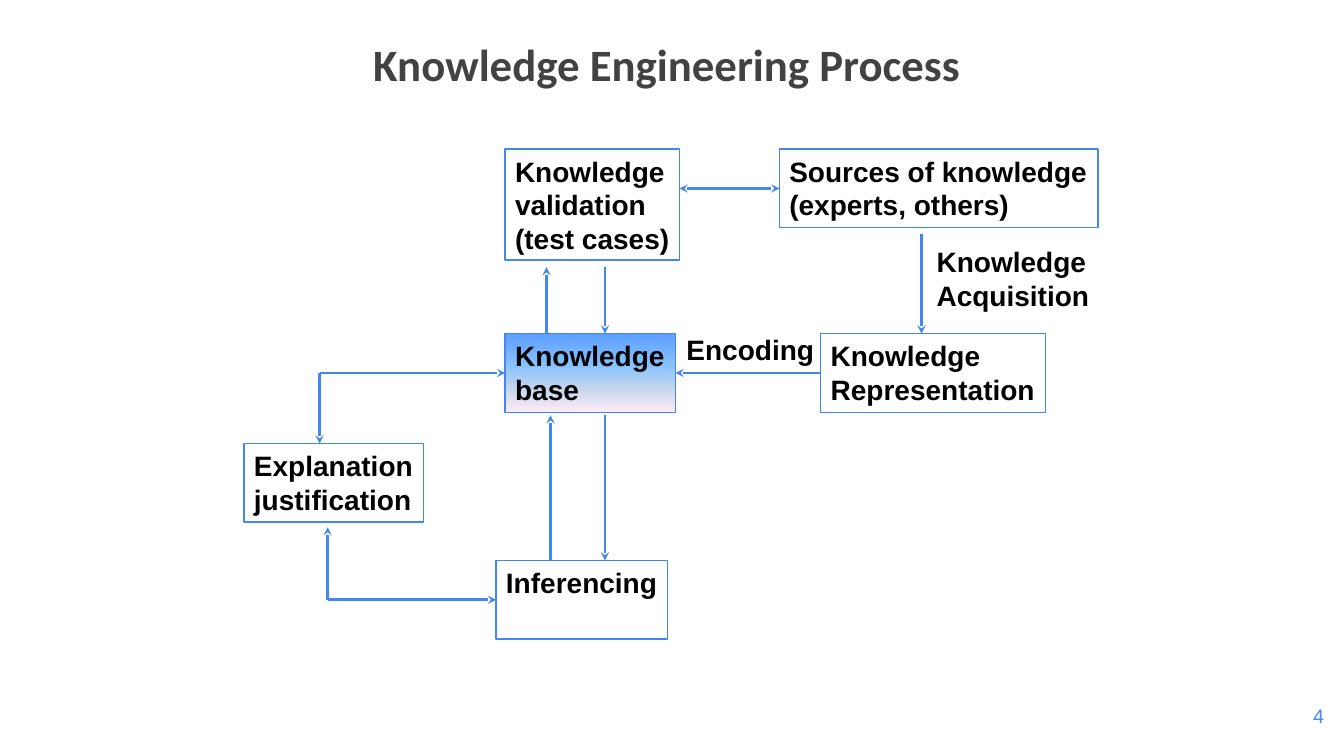
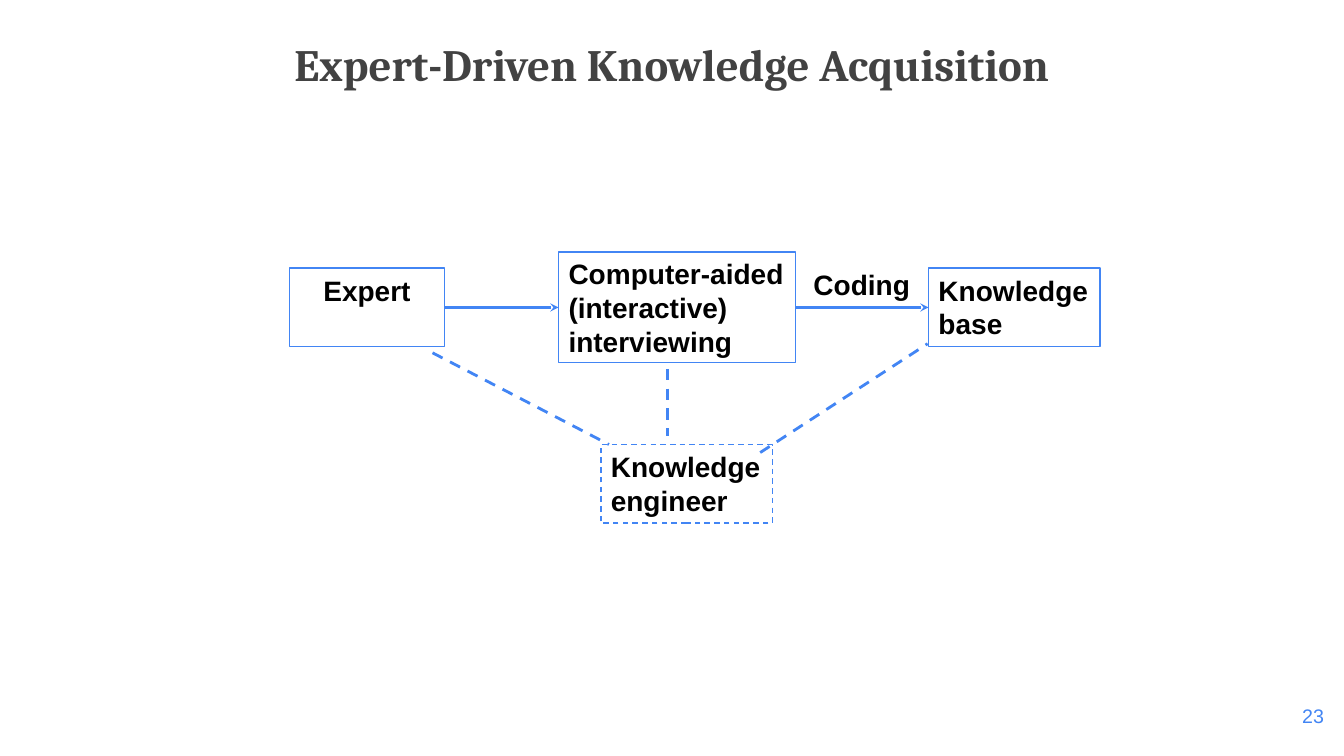
from dataclasses import dataclass
from lxml.etree import SubElement
from pptx import Presentation
from pptx.dml.color import RGBColor
from pptx.enum.dml import MSO_LINE
from pptx.enum.shapes import MSO_CONNECTOR, MSO_SHAPE
from pptx.enum.text import MSO_ANCHOR, PP_ALIGN
from pptx.oxml.ns import qn
from pptx.util import Inches, Pt


@dataclass(frozen=True)
class Theme:
    blue: str = "4285F4"
    title: str = "424242"
    text: str = "000000"
    gradient: tuple = ((0, "5E9EFF"), (40, "85C2FF"), (70, "C4D6EB"), (100, "FFEBFA"))
    font: str = "Arial"
    title_size: int = 32
    body_size: int = 20
    number_size: int = 14
    border: int = 1
    arrow: int = 2


THEME = Theme()
TOP, LEFT, BOTTOM, RIGHT = range(4)
TWO_LINES, THREE_LINES = 0.78, 1.1


def add_text(page, text, at, size=THEME.body_size, font=THEME.font, color=THEME.text,
             bold=True, align=PP_ALIGN.LEFT, anchor=MSO_ANCHOR.TOP, border=True, dash=False):
    """Add a text box, or an outlined rectangle; each line of text is a paragraph."""
    place = [Inches(length) for length in at]
    if border:
        box = page.shapes.add_shape(MSO_SHAPE.RECTANGLE, *place)
        box.shadow.inherit = False
        box.fill.background()
        box.line.color.rgb = RGBColor.from_string(THEME.blue)
        box.line.width = Pt(THEME.border)
        if dash:
            box.line.dash_style = MSO_LINE.DASH
    else:
        box = page.shapes.add_textbox(*place)
    frame = box.text_frame
    frame.word_wrap = True
    frame.vertical_anchor = anchor
    frame.margin_left = Inches(0.1)
    # Boxes fit their longest line closely, so left-aligned text gets spare room.
    frame.margin_right = Inches(0 if align == PP_ALIGN.LEFT else 0.1)
    frame.margin_top = frame.margin_bottom = Inches(0.05)
    for index, line in enumerate(text.split("\n")):
        para = frame.paragraphs[0] if index == 0 else frame.add_paragraph()
        para.alignment = align
        span = para.add_run()
        span.text = line
        span.font.name = font
        span.font.size = Pt(size)
        span.font.bold = bold
        span.font.color.rgb = RGBColor.from_string(color)
    return box


def add_link(page, begin, end, heads=("tailEnd",), dash=False):
    """Draw a line; each end is an (x, y) point or a (box, side) pair to join."""
    points = [(0, 0) if hasattr(x, "text_frame") else (x, y) for x, y in (begin, end)]
    link = page.shapes.add_connector(
        MSO_CONNECTOR.STRAIGHT, *[Inches(length) for point in points for length in point])
    for target, join in ((begin, link.begin_connect), (end, link.end_connect)):
        if hasattr(target[0], "text_frame"):
            join(*target)
    link.line.color.rgb = RGBColor.from_string(THEME.blue)
    link.line.width = Pt(THEME.arrow)
    if dash:
        link.line.dash_style = MSO_LINE.DASH
    properties = link._element.spPr
    for head in heads:
        SubElement(properties.find(qn("a:ln")), qn(f"a:{head}"), type="stealth")
    SubElement(properties, qn("a:effectLst"))


deck = Presentation()
deck.slide_width, deck.slide_height = Inches(13.33), Inches(7.5)

pages = []
for title, title_font, number in (
    ("Knowledge Engineering Process ", "Calibri", "4"),
    ("Expert-Driven Knowledge Acquisition", "Cambria", "23"),
):
    page = deck.slides.add_slide(deck.slide_layouts[6])
    add_text(page, title, (0, 0.07, 13.33, 1.12), size=THEME.title_size, font=title_font,
             color=THEME.title, align=PP_ALIGN.CENTER, anchor=MSO_ANCHOR.MIDDLE, border=False)
    add_text(page, number, (12.43, 6.93, 0.8, 0.57), size=THEME.number_size,
             color=THEME.blue, bold=False, align=PP_ALIGN.RIGHT, border=False)
    pages.append(page)
process, acquisition = pages

# Knowledge engineering process
add_text(process, "Knowledge\nvalidation\n(test cases)", (5.01, 1.48, 1.73, THREE_LINES))
representation = add_text(process, "Knowledge\nRepresentation", (8.14, 3.31, 2.23, TWO_LINES))
add_text(process, "Knowledge\nAcquisition", (9.19, 2.38, 1.72, TWO_LINES), border=False)
add_text(process, "Encoding", (6.71, 3.25, 1.47, 0.44), border=False)
inferencing = add_text(process, "Inferencing", (4.92, 5.56, 1.7, TWO_LINES))
sources = add_text(process, "Sources of knowledge\n(experts, others)",
                   (7.73, 1.48, 3.16, TWO_LINES))
add_text(process, "Explanation\njustification", (2.42, 4.4, 1.78, TWO_LINES))
base = add_text(process, "Knowledge\nbase", (5.01, 3.31, 1.69, TWO_LINES))

base.fill.gradient()
base.fill.gradient_angle = 270
stops = base._element.spPr.find(qn("a:gradFill")).find(qn("a:gsLst"))
for stop in list(stops):
    stops.remove(stop)
for percent, color in THEME.gradient:
    stop = SubElement(stops, qn("a:gs"), pos=str(percent * 1000))
    SubElement(stop, qn("a:srgbClr"), val=color)

base_corner, inference_corner = (3.17, 3.7), (3.25, 5.95)
for begin, end in (
    (inference_corner, (inferencing, LEFT)),
    (inference_corner, (3.25, 5.23)),
    (base_corner, (3.17, 4.4)),
    (base_corner, (base, LEFT)),
    ((representation, LEFT), (base, RIGHT)),
    ((9.14, 2.32), (9.14, 3.31)),
    ((6, 2.65), (6, 3.31)),
    ((5.42, 3.31), (5.42, 2.65)),
    ((6, 4.12), (6, 5.56)),
    ((5.46, 5.56), (5.46, 4.12)),
):
    add_link(process, begin, end)
add_link(process, (6.74, 1.87), (sources, LEFT), heads=("headEnd", "tailEnd"))

# Expert-driven knowledge acquisition
coded_base = add_text(acquisition, "Knowledge\nbase", (9.21, 2.66, 1.7, TWO_LINES))
add_text(acquisition, "Knowledge\nengineer", (5.96, 4.41, 1.7, TWO_LINES), dash=True)
expert = add_text(acquisition, "Expert", (2.87, 2.66, 1.54, TWO_LINES), align=PP_ALIGN.CENTER)
add_text(acquisition, "Coding", (7.97, 2.6, 1.17, 0.44), border=False)
interviewing = add_text(acquisition, "Computer-aided\n(interactive)\ninterviewing",
                        (5.54, 2.5, 2.35, THREE_LINES))

for source, target in ((expert, interviewing), (interviewing, coded_base)):
    add_link(acquisition, (source, RIGHT), (target, LEFT))
for begin, end in (
    ((6.62, 3.66), (6.62, 4.33)),
    ((7.54, 4.49), (9.2, 3.41)),
    ((4.29, 3.5), (6.04, 4.41)),
):
    add_link(acquisition, begin, end, heads=(), dash=True)

deck.save("out.pptx")
